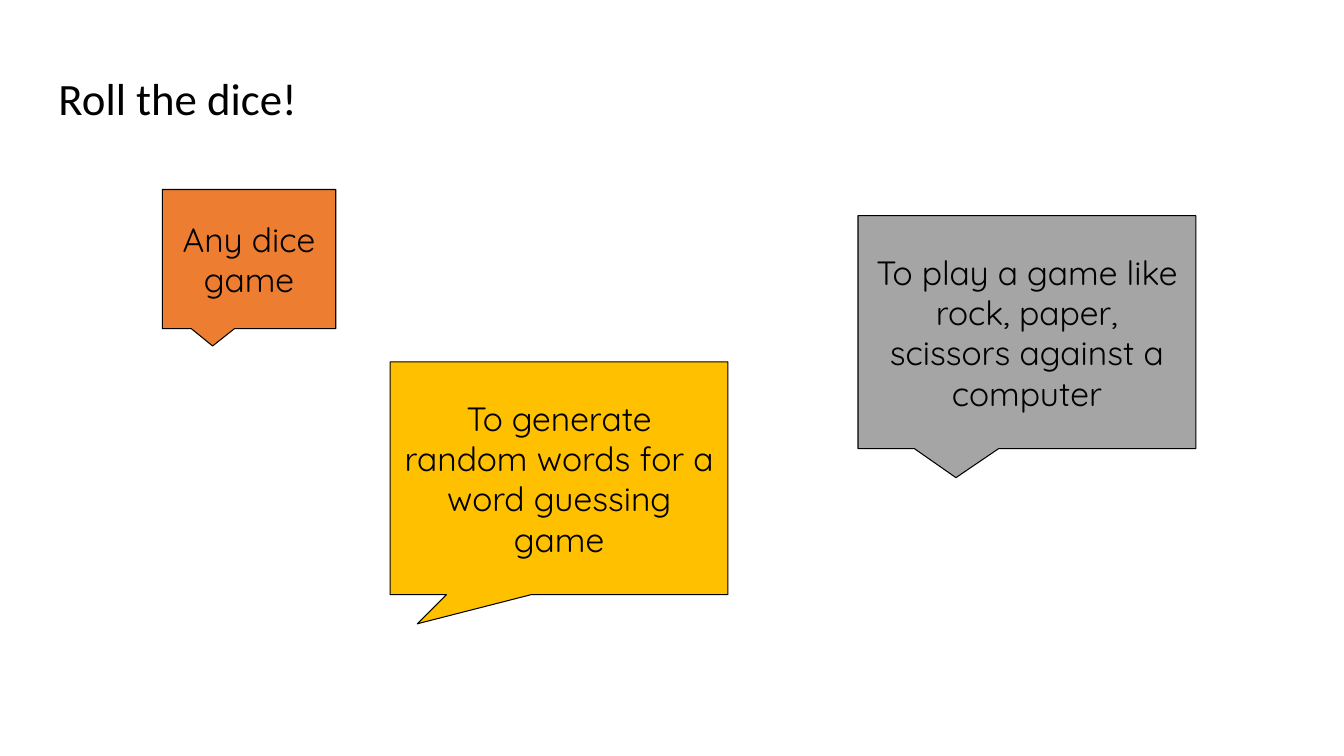
import pptx
import pptx.dml.color
import pptx.enum.shapes
import pptx.enum.text
import pptx.util

SLIDE_WIDTH = pptx.util.Inches(13.33)
SLIDE_HEIGHT = pptx.util.Inches(7.5)
INSET = pptx.util.Inches(0.13)
COLORS = {
    "ink": "000000",
    "paper": "FFFFFF",
    "orange": "ED7D31",
    "gray": "A5A5A5",
    "gold": "FFC000",
}
SMALL = (1.72, 1.38)
LARGE = (3.35, 2.31)
IDEAS = [
    ("Any dice game", "orange", (1.61, 1.88, *SMALL), (-0.21, 0.625)),
    ("To play a game like rock, paper, scissors against a computer",
     "gray", (8.51, 2.14, *LARGE), (-0.21, 0.625)),
    ("To generate random words for a word guessing game",
     "gold", (3.87, 3.59, *LARGE), (-0.42, 0.625)),
]


def rgb(name):
    return pptx.dml.color.RGBColor.from_string(COLORS[name])


def write(holder, words, font_name, size, alignment):
    frame = holder.text_frame
    frame.text = words
    frame.word_wrap = True
    frame.auto_size = pptx.enum.text.MSO_AUTO_SIZE.NONE
    frame.vertical_anchor = pptx.enum.text.MSO_ANCHOR.MIDDLE
    frame.margin_left = frame.margin_right = INSET
    frame.margin_top = frame.margin_bottom = INSET
    paragraph = frame.paragraphs[0]
    paragraph.alignment = alignment
    paragraph.font.name = font_name
    paragraph.font.size = pptx.util.Pt(size)
    paragraph.font.color.rgb = rgb("ink")


def place_title(slide, box):
    title = slide.shapes.title
    title.left, title.top, title.width, title.height = map(pptx.util.Inches, box)
    write(title, "Roll the dice!", "Calibri", 32, pptx.enum.text.PP_ALIGN.LEFT)


def add_idea(slide, words, color, box, pointer):
    idea = slide.shapes.add_shape(
        pptx.enum.shapes.MSO_SHAPE.ROUNDED_RECTANGULAR_CALLOUT,
        *map(pptx.util.Inches, box))
    for index, value in enumerate((*pointer, 0)):
        idea.adjustments[index] = value
    idea.shadow.inherit = False
    idea.fill.solid()
    idea.fill.fore_color.rgb = rgb(color)
    idea.line.color.rgb = rgb("ink")
    idea.line.width = pptx.util.Pt(0.75)
    write(idea, words, "Quicksand", 24, pptx.enum.text.PP_ALIGN.CENTER)


def main():
    deck = pptx.Presentation()
    deck.slide_width = SLIDE_WIDTH
    deck.slide_height = SLIDE_HEIGHT
    slide = deck.slides.add_slide(deck.slide_layouts[5])
    slide.background.fill.solid()
    slide.background.fill.fore_color.rgb = rgb("paper")
    place_title(slide, (0.45, 0.45, 12.43, 1.03))
    for idea in IDEAS:
        add_idea(slide, *idea)
    deck.save("out.pptx")


if __name__ == "__main__":
    main()
